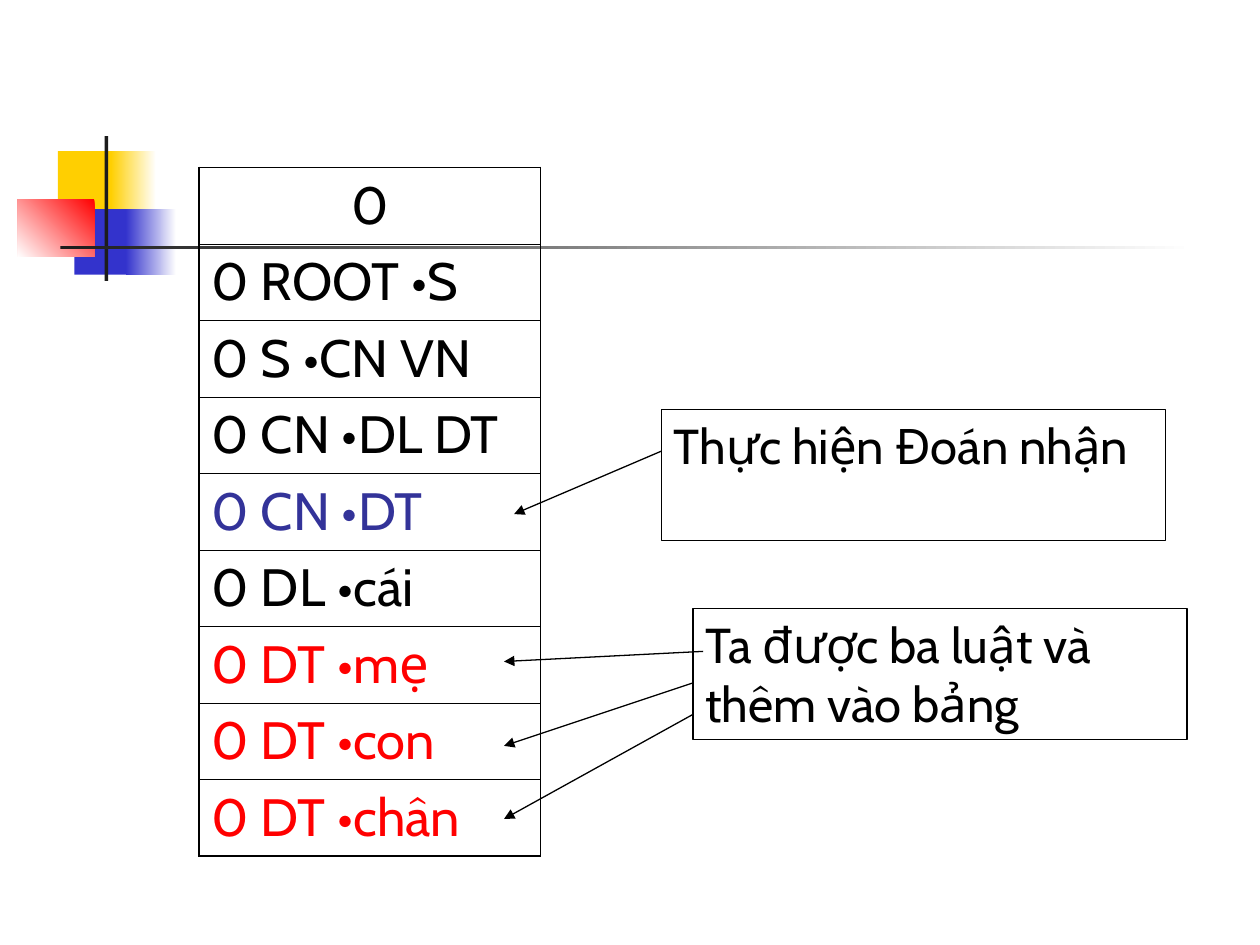
"""Build a parser chart slide with a rule table and two notes."""
from lxml.etree import SubElement as Sub
from pptx import Presentation
from pptx.dml.color import RGBColor as RGB
from pptx.enum.shapes import MSO_CONNECTOR as Link, MSO_SHAPE as Kind
from pptx.enum.text import MSO_ANCHOR as Anchor, PP_ALIGN as Align
from pptx.oxml.ns import qn
from pptx.util import Inches, Pt

THEME = dict(
    font="Cabin", cell=30, note=28, rule=0.75, edge=1.08, inner=0.45,
    black="000000", white="FFFFFF", blue="333399", red="FF0000",
    gold="FFCF01", navy="3333CC", dark="1C1C1C",
)
WIDE, HIGH = 10, 7.5
DECOR = [
    ((0.46, 1.2, 0.48, 0.52), "gold", None),
    ((0.88, 1.2, 0.36, 0.52), "gold", 0),
    ((0.59, 1.66, 0.46, 0.52), "navy", None),
    ((1, 1.66, 0.4, 0.52), "navy", 0),
    ((0.14, 1.58, 0.61, 0.46), "red", 225),
    ((0.83, 1.08, 0.03, 1.15), "dark", None),
    ((0.48, 1.95, 9, 0.03), "dark", 0),
]
RULES = [
    ("0", "black"), ("0 ROOT •S", "black"), ("0 S •CN VN", "black"),
    ("0 CN •DL DT", "black"), ("0 CN •DT", "blue"), ("0 DL •cái", "black"),
    ("0 DT •mẹ", "red"), ("0 DT •con", "red"), ("0 DT •chân", "red"),
]
GRID = (1.58, 1.33, 2.71, 5.39)
NOTES = [
    ("Thực hiện Đoán nhận", (5.25, 3.25, 4, 1.04),
     [((5.25, 3.58), (4.08, 4.08))]),
    ("Ta được ba luật và thêm vào bảng", (5.5, 4.83, 3.92, 1.04),
     [((5.58, 5.17), (4, 5.25)), ((5.5, 5.42), (4, 5.92)),
      ((5.5, 5.67), (4, 6.5))]),
]


def tint(name):
    return RGB.from_string(THEME[name])


def place(box):
    return [Inches(n) for n in box]


def write(frame, text, size, color, gap):
    frame.text = text
    para = frame.paragraphs[0]
    para.space_before = Pt(gap)
    font = para.runs[0].font
    font.name, font.size, font.bold = THEME["font"], Pt(size), False
    font.color.rgb = tint(color)
    return para


def block(slide, box, color, turn):
    shape = slide.shapes.add_shape(Kind.RECTANGLE, *place(box))
    shape.shadow.inherit = False
    shape.line.fill.background()
    fill = shape.fill
    if turn is None:
        fill.solid()
        fill.fore_color.rgb = tint(color)
        return
    fill.gradient()
    fill.gradient_angle = turn
    for stop, name in zip(fill.gradient_stops, (color, "white")):
        stop.color.rgb = tint(name)


def border(cell, first, last):
    edge, inner = THEME["edge"], THEME["inner"]
    sides = dict(L=edge, R=edge, T=edge if first else inner,
                 B=edge if last else inner)
    props = cell._tc.get_or_add_tcPr()
    for side, width in sides.items():
        line = Sub(props, qn(f"a:ln{side}"), w=str(Pt(width)))
        fill = Sub(line, qn("a:solidFill"))
        Sub(fill, qn("a:srgbClr"), val=THEME["black"])


def chart(slide):
    count = len(RULES)
    table = slide.shapes.add_table(count, 1, *place(GRID)).table
    table.first_row = table.horz_banding = False
    for row, (text, color) in enumerate(RULES):
        table.rows[row].height = Inches(GRID[3] / count)
        cell = table.cell(row, 0)
        para = write(cell.text_frame, text, THEME["cell"], color, 7.5)
        para.alignment = Align.LEFT if row else Align.CENTER
        cell.vertical_anchor = Anchor.TOP
        border(cell, row == 0, row == count - 1)
        cell.fill.background()


def arrow(slide, start, end):
    line = slide.shapes.add_connector(Link.STRAIGHT, *place(start + end))
    line.line.color.rgb = tint("black")
    line.line.width = Pt(THEME["rule"])
    Sub(line.line._get_or_add_ln(), qn("a:tailEnd"), type="triangle")
    Sub(line._element.spPr, qn("a:effectLst"))


def note(slide, text, box, links):
    shape = slide.shapes.add_textbox(*place(box))
    shape.line.color.rgb = tint("black")
    shape.line.width = Pt(THEME["rule"])
    shape.text_frame.word_wrap = True
    write(shape.text_frame, text, THEME["note"], "black", 17.5)
    for start, end in links:
        arrow(slide, start, end)


def main():
    deck = Presentation()
    deck.slide_width, deck.slide_height = Inches(WIDE), Inches(HIGH)
    slide = deck.slides.add_slide(deck.slide_layouts[6])
    for item in DECOR:
        block(slide, *item)
    chart(slide)
    for item in NOTES:
        note(slide, *item)
    deck.save("out.pptx")


if __name__ == "__main__":
    main()
